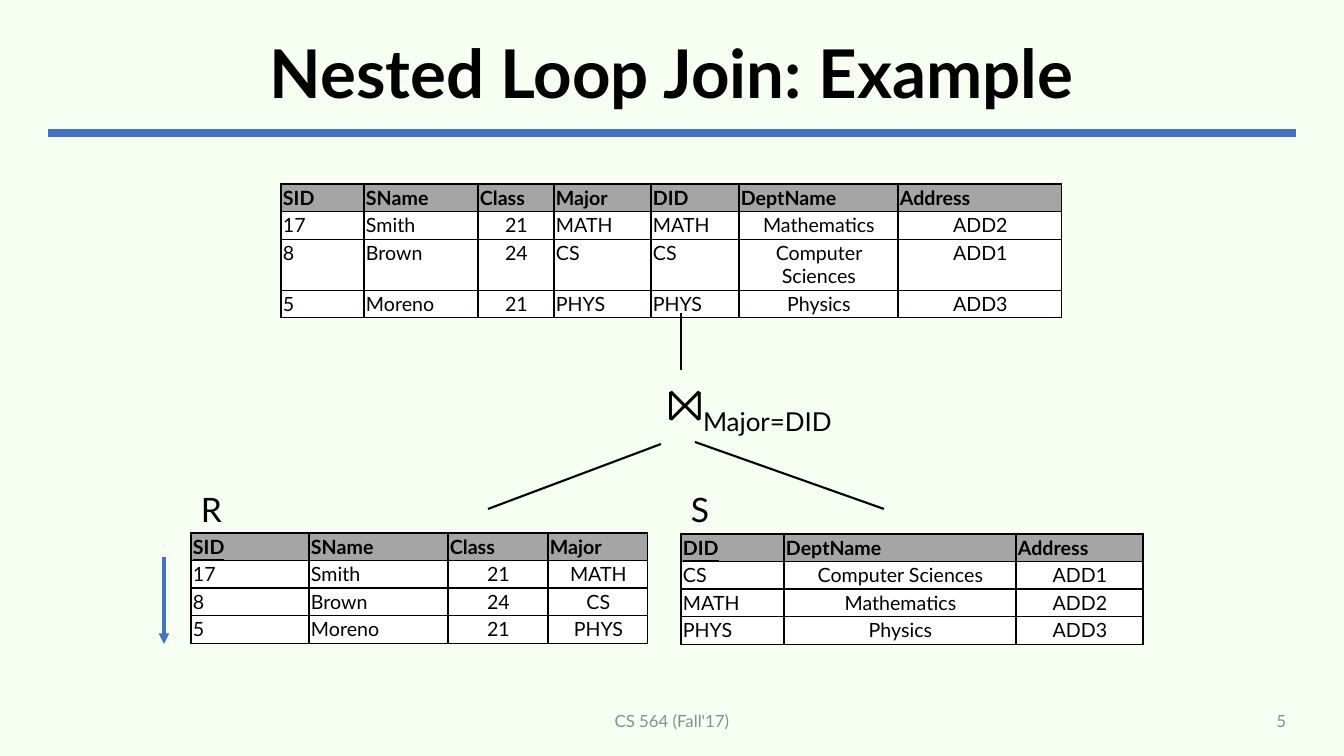
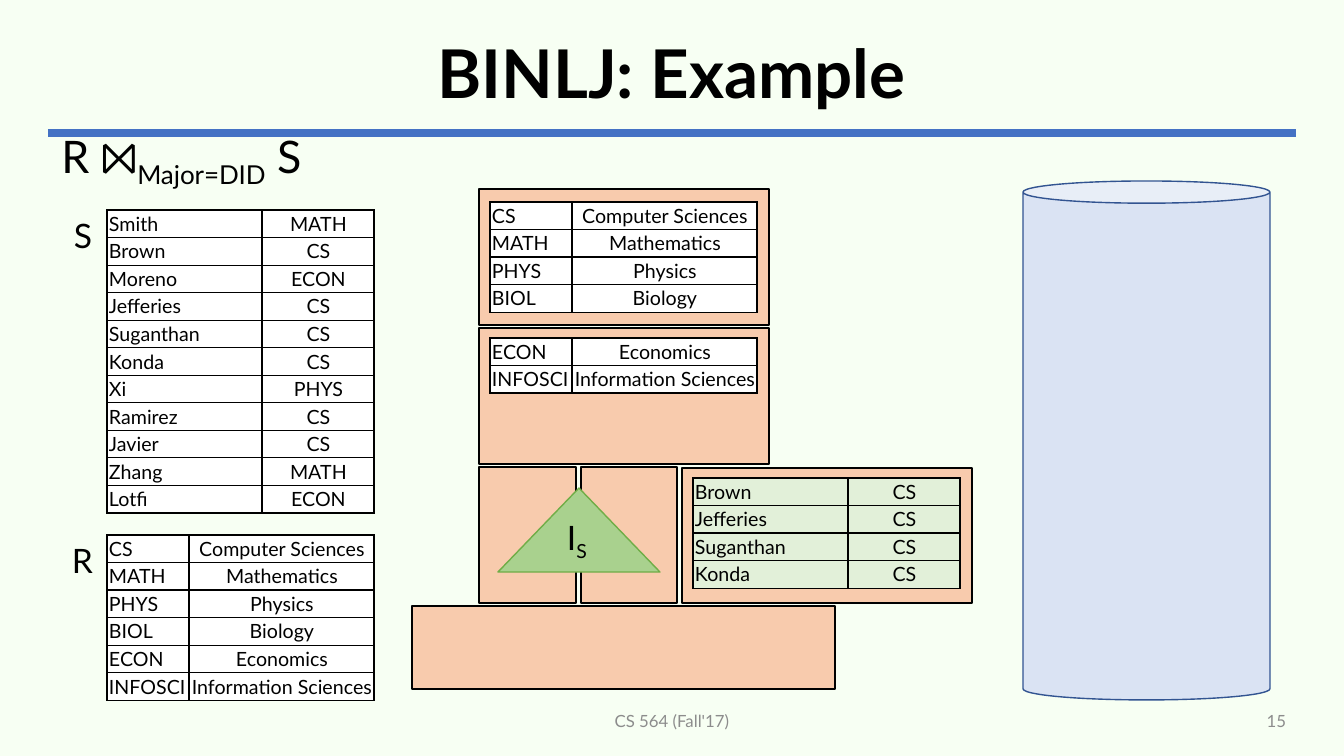
"""Two slides on nested loop joins: the join tree and a block index join."""
from dataclasses import dataclass

from pptx import Presentation
from pptx.dml.color import RGBColor
from pptx.enum.shapes import MSO_CONNECTOR, MSO_SHAPE as SHAPE
from pptx.enum.text import MSO_ANCHOR as ANCHOR, PP_ALIGN as ALIGN
from pptx.oxml.ns import qn
from pptx.util import Pt
from lxml.etree import SubElement


@dataclass(frozen=True)
class Theme:
    font: str = "Lato"
    ink: str = "000000"
    muted: str = "8C8C8C"
    paper: str = "F7FFF3"
    accent: str = "4472C4"
    header: str = "A5A5A5"
    cell: str = "FFFFFF"
    match: str = "E2F0D9"
    page: str = "F8CBAD"
    index: str = "A9D18E"
    index_line: str = "70AD47"
    disk: str = "DAE3F3"
    disk_line: str = "325491"
    title: int = 48
    formula: int = 32
    label: int = 24
    body: int = 14
    footer: int = 12


T = Theme()
PX = 914400 / 100.8
ROW = 27
ALIGNS = {"l": ALIGN.LEFT, "c": ALIGN.CENTER, "r": ALIGN.RIGHT}

FOOTER = "CS 564 (Fall'17)"
JOIN = "⨝"
CONDITION = "Major=DID"

JOINED = [
    ("SID", "SName", "Class", "Major", "DID", "DeptName", "Address"),
    ("17", "Smith", "21", "MATH", "MATH", "Mathematics", "ADD2"),
    ("8", "Brown", "24", "CS", "CS", "Computer Sciences", "ADD1"),
    ("5", "Moreno", "21", "PHYS", "PHYS", "Physics", "ADD3"),
]
STUDENTS = [
    ("SID", "SName", "Class", "Major"),
    ("17", "Smith", "21", "MATH"),
    ("8", "Brown", "24", "CS"),
    ("5", "Moreno", "21", "PHYS"),
]
DEPARTMENTS = [
    ("DID", "DeptName", "Address"),
    ("CS", "Computer Sciences", "ADD1"),
    ("MATH", "Mathematics", "ADD2"),
    ("PHYS", "Physics", "ADD3"),
]
TREE_LINES = [
    (681, 313, 681, 370),
    (661, 444, 488, 509),
    (695, 442, 884, 509),
]

MAJORS = [
    ("Smith", "MATH"), ("Brown", "CS"), ("Moreno", "ECON"),
    ("Jefferies", "CS"), ("Suganthan", "CS"), ("Konda", "CS"),
    ("Xi", "PHYS"), ("Ramirez", "CS"), ("Javier", "CS"),
    ("Zhang", "MATH"), ("Lotfi", "ECON"),
]
DEPT_NAMES = [
    ("CS", "Computer Sciences"), ("MATH", "Mathematics"),
    ("PHYS", "Physics"), ("BIOL", "Biology"),
    ("ECON", "Economics"), ("INFOSCI", "Information Sciences"),
]
BLOCK = 4
MATCHES = [row for row in MAJORS if row[1] == "CS"][:BLOCK]
MAJOR_COLS = (155, 112)
DEPT_COLS = (82, 185)
PAGES = [
    (479, 189, 290, 136),
    (479, 328, 290, 136),
    (479, 467, 97, 136),
    (581, 467, 96, 136),
    (682, 468, 290, 135),
    (412, 606, 423, 83),
]


def emu(*lengths):
    return [round(n * PX) for n in lengths]


def rgb(color):
    return RGBColor.from_string(color)


def write(tf, *pieces, size=T.body, color=T.ink, bold=False, underline=False,
          align="l", anchor=ANCHOR.TOP, spacing=None):
    """Write one paragraph; every second piece is a subscript."""
    tf.word_wrap = True
    tf.vertical_anchor = anchor
    p = tf.paragraphs[0]
    p.alignment = ALIGNS[align]
    if spacing:
        p.line_spacing = spacing
    for i, piece in enumerate(pieces):
        r = p.add_run()
        r.text = piece
        font = r.font
        font.name, font.size, font.bold = T.font, Pt(size), bold
        font.underline = underline
        font.color.rgb = rgb(color)
        if i % 2:
            r._r.get_or_add_rPr().set("baseline", "-25000")


def add_text(shapes, box, *pieces, **fmt):
    write(shapes.add_textbox(*emu(*box)).text_frame, *pieces, **fmt)


def add_box(shapes, kind, box, fill, line):
    sp = shapes.add_shape(kind, *emu(*box))
    sp.shadow.inherit = False
    sp.fill.solid()
    sp.fill.fore_color.rgb = rgb(fill)
    sp.line.color.rgb = rgb(line)
    sp.line.width = Pt(1)
    return sp


def add_line(shapes, ends, color=T.ink, width=1.5, arrow=False):
    cx = shapes.add_connector(MSO_CONNECTOR.STRAIGHT, *emu(*ends))
    cx.line.color.rgb = rgb(color)
    cx.line.width = Pt(width)
    if arrow:
        SubElement(cx.line._get_or_add_ln(), qn("a:tailEnd"), type="triangle")
    SubElement(cx._element.spPr, qn("a:effectLst"))


def style_cell(cell, fill):
    cell.margin_left, cell.margin_right, cell.margin_top, cell.margin_bottom = emu(2, 1, 2, 2)
    tc_pr = cell._tc.get_or_add_tcPr()
    for side in ("lnL", "lnR", "lnT", "lnB"):
        ln = SubElement(tc_pr, qn(f"a:{side}"), w=str(Pt(1)))
        SubElement(SubElement(ln, qn("a:solidFill")), qn("a:srgbClr"), val=T.ink)
    cell.fill.solid()
    cell.fill.fore_color.rgb = rgb(fill)


def add_grid(shapes, x, y, cols, rows, aligns="lc", fill=T.cell, header=False, key=False):
    frame = shapes.add_table(len(rows), len(cols), *emu(x, y, sum(cols), ROW * len(rows)))
    table = frame.table
    table.first_row = table.horz_banding = False
    for column, width in zip(table.columns, emu(*cols)):
        column.width = width
    for i, row in enumerate(rows):
        head = header and i == 0
        table.rows[i].height = emu(ROW)[0]
        for j, value in enumerate(row):
            cell = table.cell(i, j)
            style_cell(cell, T.header if head else fill)
            write(cell.text_frame, value, bold=head, underline=head and key and j == 0,
                  align="l" if head else aligns[j])


def add_slide(prs, title, number):
    shapes = prs.slides.add_slide(prs.slide_layouts[6]).shapes
    add_line(shapes, (48, 133, 1296, 133), T.accent, 6)
    add_text(shapes, (48, 24, 1247, 105), title, size=T.title, bold=True,
             align="c", anchor=ANCHOR.MIDDLE, spacing=0.9)
    small = dict(size=T.footer, color=T.muted, anchor=ANCHOR.MIDDLE)
    add_text(shapes, (445, 701, 454, 40), FOOTER, align="c", **small)
    add_text(shapes, (949, 701, 347, 40), str(number), align="r", **small)
    return shapes


def add_labels(shapes, labels):
    for name, x, y in labels:
        add_text(shapes, (x, y, 44, 50), name, size=T.label)


def build_join_tree(prs):
    shapes = add_slide(prs, "Nested Loop Join: Example", 5)
    add_grid(shapes, 191, 533, (118, 139, 100, 100), STUDENTS, "llcc", header=True, key=True)
    add_grid(shapes, 681, 534, (103, 232, 127), DEPARTMENTS, "lcc", header=True, key=True)
    add_grid(shapes, 281, 184, (83, 114, 76, 97, 88, 159, 164), JOINED, "llcllcc", header=True)
    add_text(shapes, (657, 370, 220, 73), JOIN, CONDITION, size=T.formula, anchor=ANCHOR.MIDDLE)
    for ends in TREE_LINES:
        add_line(shapes, ends)
    add_line(shapes, (164, 557, 164, 644), T.accent, 2.5, arrow=True)
    add_labels(shapes, [("R", 191, 484), ("S", 681, 484)])


def build_index_join(prs):
    shapes = add_slide(prs, "BINLJ: Example", 15)
    add_text(shapes, (28, 123, 307, 73), f"R {JOIN}", CONDITION, " S",
             size=T.formula, align="c", anchor=ANCHOR.MIDDLE)
    add_labels(shapes, [("S", 64, 210), ("R", 62, 535)])
    add_grid(shapes, 107, 210, MAJOR_COLS, MAJORS)
    add_grid(shapes, 107, 535, DEPT_COLS, DEPT_NAMES)
    for box in PAGES:
        add_box(shapes, SHAPE.RECTANGLE, box, T.page, T.ink)
    add_grid(shapes, 490, 202, DEPT_COLS, DEPT_NAMES[:BLOCK])
    add_grid(shapes, 490, 338, DEPT_COLS, DEPT_NAMES[BLOCK:])
    add_grid(shapes, 693, 478, MAJOR_COLS, MATCHES, fill=T.match)
    index = shapes.add_group_shape().shapes
    add_box(index, SHAPE.ISOSCELES_TRIANGLE, (498, 488, 162, 84), T.index, T.index_line)
    add_text(index, (557, 512, 50, 50), "I", "S", size=T.label)
    disk = add_box(shapes, SHAPE.CAN, (1023, 181, 247, 519), T.disk, T.disk_line)
    disk.adjustments[0] = 0.09


def main():
    prs = Presentation()
    prs.slide_width, prs.slide_height = emu(1344, 756)
    background = prs.slide_master.background.fill
    background.solid()
    background.fore_color.rgb = rgb(T.paper)
    build_join_tree(prs)
    build_index_join(prs)
    prs.save("out.pptx")


if __name__ == "__main__":
    main()
